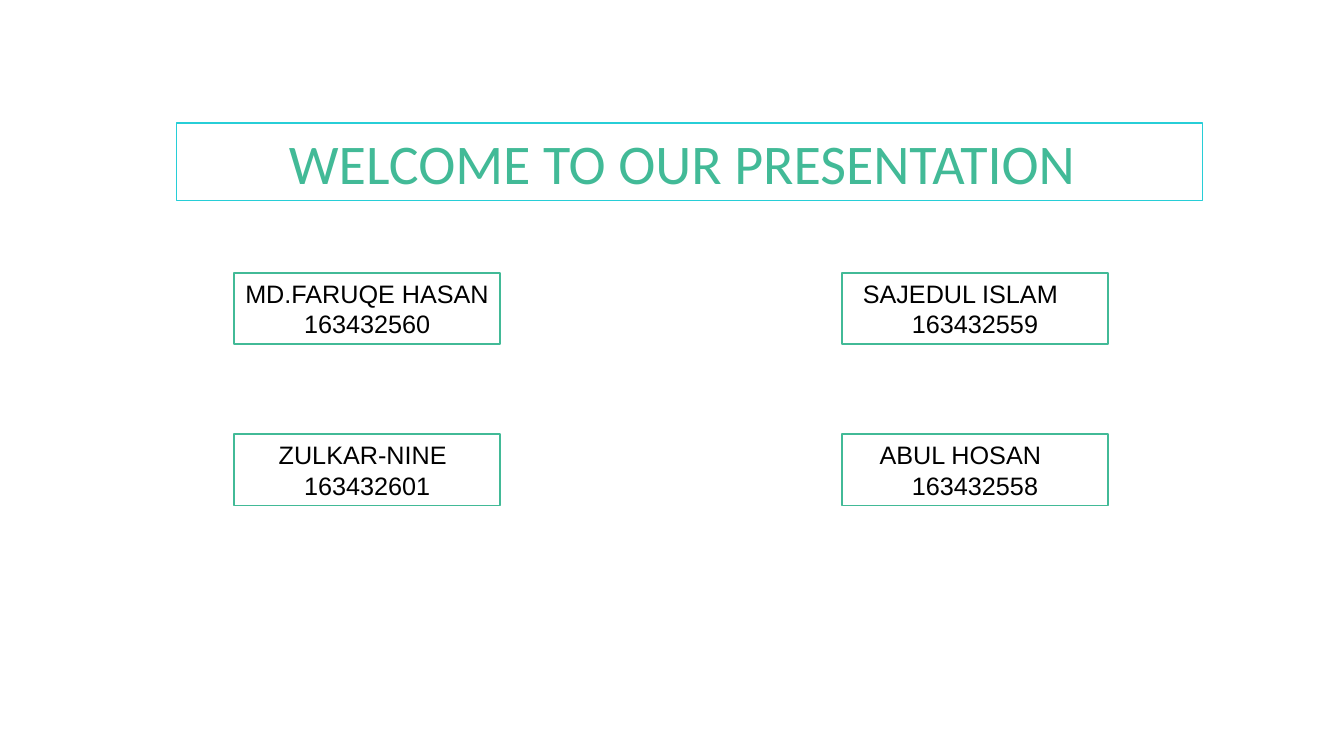
from pptx import Presentation
from pptx.dml.color import RGBColor
from pptx.enum.shapes import MSO_SHAPE as Shape
from pptx.enum.text import MSO_ANCHOR as Anchor, MSO_AUTO_SIZE as AutoSize, PP_ALIGN as Align
from pptx.util import Pt

GREEN, CYAN, BLACK, WHITE = "42BA97", "27CED7", "000000", "FFFFFF"


def paint(color_format, hex_color):
    color_format.rgb = RGBColor.from_string(hex_color)


def write(box, text, *, size, font, color, border, right_inset=7.2, name_indent=0):
    """Outline the box and write one paragraph per line of text."""
    box.fill.solid()
    paint(box.fill.fore_color, WHITE)
    paint(box.line.color, border)
    box.line.width = Pt(1.25)
    frame = box.text_frame
    frame.text = text
    frame.word_wrap = True
    frame.auto_size = AutoSize.NONE
    frame.vertical_anchor = Anchor.MIDDLE
    frame.margin_right = Pt(right_inset)
    for line in frame.paragraphs:
        line.alignment = Align.CENTER
        line.font.size = Pt(size)
        line.font.name = font
        paint(line.font.color, color)
    if name_indent:
        name_line = frame.paragraphs[0]
        name_line.alignment = Align.LEFT
        name_line._p.get_or_add_pPr().set("marL", str(Pt(name_indent)))


deck = Presentation()
deck.slide_width, deck.slide_height = Pt(960), Pt(540)
slide = deck.slides.add_slide(deck.slide_layouts[5])
slide.background.fill.solid()
paint(slide.background.fill.fore_color, WHITE)

# Welcome banner
welcome = slide.shapes.title
welcome.left, welcome.top, welcome.width, welcome.height = Pt(126), Pt(87.8), Pt(733), Pt(55.4)
write(welcome, "WELCOME TO OUR PRESENTATION", size=40, font="Calibri",
      color=GREEN, border=CYAN, right_inset=18)

# Presenters in a two-by-two grid: name, student number, indent of the name
presenters = [
    ("MD.FARUQE HASAN", "163432560", 0),
    ("SAJEDUL ISLAM", "163432559", 8),
    ("ZULKAR-NINE", "163432601", 25),
    ("ABUL HOSAN", "163432558", 20),
]
for index, (name, number, indent) in enumerate(presenters):
    row, column = divmod(index, 2)
    card = slide.shapes.add_shape(Shape.RECTANGLE, Pt(167 + 434.2 * column),
                                  Pt(195 + 115.2 * row), Pt(190.4), Pt(51))
    card.shadow.inherit = False
    write(card, f"{name}\n{number}", size=18, font="Arial", color=BLACK,
          border=GREEN, name_indent=indent)

deck.save("out.pptx")
